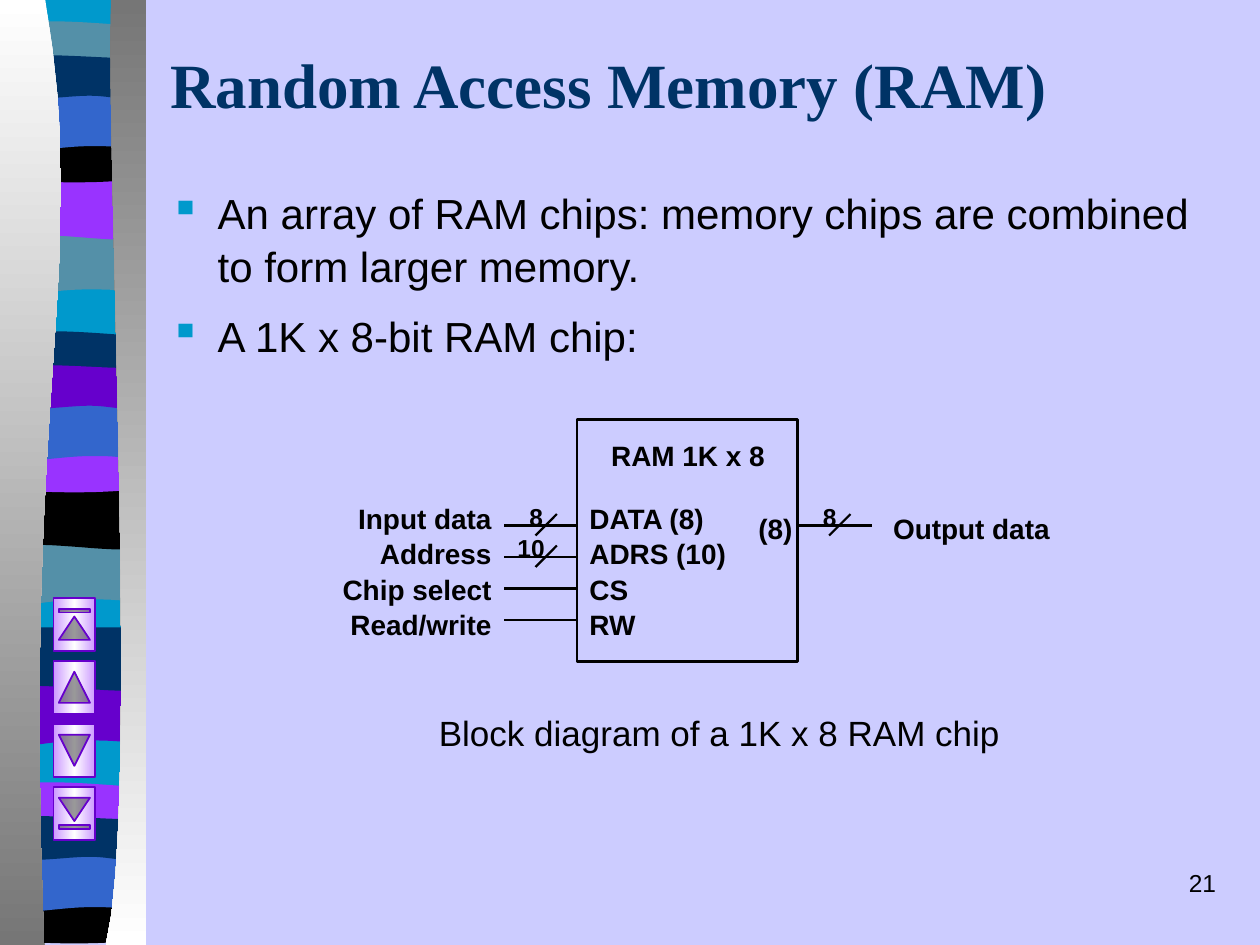
from dataclasses import dataclass

from lxml import etree
from pptx import Presentation
from pptx import util as u
from pptx.dml.color import RGBColor
from pptx.enum import shapes, text
from pptx.oxml import ns


@dataclass(frozen=True)
class Theme:
    back: str = "CCCCFF"
    ink: str = "000000"
    navy: str = "003366"
    cyan: str = "0099CC"
    teal: str = "5490A8"
    blue: str = "3366CC"
    violet: str = "9933FF"
    purple: str = "6600CC"
    lilac: str = "CC99FF"
    white: str = "FFFFFF"
    gray: str = "767676"
    serif: str = "Times New Roman"
    sans: str = "Arial"
    title: int = 36
    body: int = 24
    note: int = 20
    label: int = 16
    small: int = 14


T = Theme()
A = text.PP_ALIGN
S = shapes.MSO_SHAPE

WAVES = [
    [(1.13, 0), (1.13, .47), (.38, .39, .22, .55, .05, .47), (.05, 0)],
    [(1.13, 0), (1.13, .48), (.96, .55, .38, .42, .05, .48), (.05, 0)],
    [(1.13, 0), (1.13, .24), (.95, .28, .23, .28, .05, .24), (.05, 0),
     (.12, -.05, .28, -.04, .46, -.04), (.64, -.04, .99, -.01, 1.13, 0)],
    [(1.13, 0), (1.13, .33), (.95, .38, .23, .38, .05, .33), (.05, 0),
     (.71, .05, .9, 0, 1.13, 0)],
    [(1.13, 0), (1.13, .47), (.96, .42, .89, .42, .71, .42),
     (.53, .42, .21, .47, .05, .47), (.05, 0)],
    [(1.13, 0), (1.13, .3), (1.06, .36, .89, .3, .71, .3),
     (.53, .3, .16, .36, .05, .3), (.05, 0), (.2, -.05, .78, 0, .96, 0)],
]
TOPS = [1.85, 1.4, .21, 1.08, .74, .46]
BANDS = [
    ([0] * 6, [T.teal, T.violet, T.teal, T.ink, T.blue, T.navy]),
    ([2.46] * 6, [T.teal, T.ink, T.navy, T.violet, T.blue, T.purple]),
    ([3.58] * 2 + [6.04] * 4,
     [T.purple, T.navy, T.violet, T.ink, T.blue, T.navy]),
]


def rgb(code):
    return RGBColor.from_string(code)


def trace(steps, n=16):
    pts = [steps[0]]
    for step in steps[1:]:
        if len(step) == 2:
            pts.append(step)
            continue
        ctrl = [pts[-1], step[:2], step[2:4], step[4:]]
        for i in range(1, n + 1):
            t = i / n
            w = [(1 - t) ** 3, 3 * t * (1 - t) ** 2, 3 * t * t * (1 - t), t ** 3]
            pts.append(tuple(sum(k * c[a] for k, c in zip(w, ctrl)) for a in (0, 1)))
    return pts


def outline(parts, steps, top=0):
    pts = [(u.Inches(x), u.Inches(top + y)) for x, y in trace(steps)]
    pen = parts.build_freeform(*pts[0])
    pen.add_line_segments(pts[1:], close=True)
    shape = pen.convert_to_shape()
    shape.shadow.inherit = False
    shape.line.fill.background()
    return shape


def solid(shape, color):
    shape.fill.solid()
    shape.fill.fore_color.rgb = rgb(color)


def blend(shape, colors):
    shape.fill.gradient()
    shape.fill.gradient_angle = 270
    stops = shape.fill._fill._gradFill.find(ns.qn("a:gsLst"))
    for stop in list(stops):
        stops.remove(stop)
    for i, color in enumerate(colors):
        stop = etree.SubElement(stops, ns.qn("a:gs"),
                                pos=str(100000 * i // (len(colors) - 1)))
        etree.SubElement(stop, ns.qn("a:srgbClr"), val=color)


def bullet(para):
    props = para._p.get_or_add_pPr()
    props.set("marL", str(u.Inches(.38)))
    props.set("indent", str(-u.Inches(.38)))
    color = etree.SubElement(props, ns.qn("a:buClr"))
    etree.SubElement(color, ns.qn("a:srgbClr"), val=T.cyan)
    etree.SubElement(props, ns.qn("a:buChar"), char="▪")


def style(para, size, bold=False, color=T.ink, face=T.sans):
    font = para.font
    font.name, font.size, font.bold = face, u.Pt(size), bold
    font.color.rgb = rgb(color)


def write(parts, box, lines, size, align=A.LEFT, bold=False, dots=False):
    frame = parts.add_textbox(*map(u.Inches, box)).text_frame
    frame.word_wrap = True
    frame.text = "\n".join(lines)
    for i, para in enumerate(frame.paragraphs):
        para.alignment = align
        para.line_spacing = 1.05
        if dots:
            para.space_before = u.Pt(9.6 if i else 0)
            bullet(para)
        style(para, size, bold)


def wire(parts, start, end, width=1.5):
    line = parts.add_connector(shapes.MSO_CONNECTOR.STRAIGHT,
                               *map(u.Inches, start + end))
    line.line.color.rgb = rgb(T.ink)
    line.line.width = u.Pt(width)
    etree.SubElement(line._element.spPr, ns.qn("a:effectLst"))


def border(parts):
    base = outline(parts, [(.06, 0), (1.14, 0), (1.14, 7.47), (.06, 7.47)])
    solid(base, T.cyan)
    for shifts, colors in BANDS:
        for wave, top, shift, color in zip(WAVES, TOPS, shifts, colors):
            solid(outline(parts, wave, top + shift), color)
    left = [(.36, 0), (.72, 2.16, .17, 2.96, .35, 7.5), (0, 7.5), (0, 0)]
    right = [(.88, 0), (.84, 1.25, 1.11, 6.46, .84, 7.5), (1.16, 7.5), (1.16, 0)]
    blend(outline(parts, left), [T.white, T.gray])
    blend(outline(parts, right), [T.gray, T.white])


def heading(slide):
    title = slide.shapes.title
    title.left, title.top, title.width, title.height = map(
        u.Inches, (1.25, .25, 8.5, .83))
    frame = title.text_frame
    frame.text = "Random Access Memory (RAM)"
    frame.vertical_anchor = text.MSO_ANCHOR.MIDDLE
    para = frame.paragraphs[0]
    para.alignment = A.LEFT
    style(para, T.title, True, T.navy, T.serif)


def chip(parts):
    case = parts.add_shape(S.RECTANGLE, *map(u.Inches, (4.58, 3.33, 1.75, 1.92)))
    case.shadow.inherit = False
    case.fill.background()
    case.line.color.rgb = rgb(T.ink)
    case.line.width = u.Pt(1.5)
    for box, lines, align in [
        ((4.67, 3.42, 1.58, .37), ["RAM 1K x 8"], A.CENTER),
        ((4.58, 3.92, 1.33, 1.17), ["DATA (8)", "ADRS (10)", "CS", "RW"], A.LEFT),
        ((2.58, 3.92, 1.42, 1.17),
         ["Input data", "Address", "Chip select", "Read/write"], A.RIGHT),
        ((5.92, 4, .5, .37), ["(8)"], A.LEFT),
        ((6.92, 4, 1.58, .37), ["Output data"], A.CENTER),
    ]:
        write(parts, box, lines, T.label, align, True)
    for i in range(4):
        y = 4.17 + .25 * i
        wire(parts, (4, y), (4.58, y))
    wire(parts, (6.33, 4.17), (6.92, 4.17))
    for x, y, left, wide, bits in [(4.25, 4.08, 4.08, .35, "8"),
                                   (4.25, 4.33, 4, .43, "10"),
                                   (6.58, 4.08, 6.42, .33, "8")]:
        wire(parts, (x + .17, y), (x, y + .17), 1.25)
        write(parts, (left, y - .16, wide, .33), [bits], T.small, A.CENTER, True)


def buttons(parts):
    kinds = [S.ACTION_BUTTON_BEGINNING, S.ACTION_BUTTON_BACK_OR_PREVIOUS,
             S.ACTION_BUTTON_FORWARD_OR_NEXT, S.ACTION_BUTTON_END]
    for i, kind in enumerate(kinds):
        key = parts.add_shape(kind, *map(u.Inches, (.38, 4.79 + .5 * i, .42, .33)))
        key.rotation = 90
        key.shadow.inherit = False
        blend(key, [T.lilac, T.white, T.lilac])
        key.line.color.rgb = rgb(T.purple)
        key.line.width = u.Pt(1)


def main():
    deck = Presentation()
    deck.slide_width, deck.slide_height = u.Inches(10), u.Inches(7.5)
    slide = deck.slides.add_slide(deck.slide_layouts[5])
    solid(slide.background, T.back)
    parts = slide.shapes
    border(parts.add_group_shape().shapes)
    heading(slide)
    write(parts, (1.25, 1.42, 8.5, 1.5),
          ["An array of RAM chips: memory chips are combined to form larger memory.",
           "A 1K x 8-bit RAM chip:"], T.body, dots=True)
    write(parts, (3.17, 5.58, 5.08, .43),
          ["Block diagram of a 1K x 8 RAM chip"], T.note, A.CENTER)
    chip(parts.add_group_shape().shapes)
    buttons(parts)
    write(parts, (7.67, 6.83, 2.08, .5), ["21"], T.small, A.RIGHT)
    deck.save("out.pptx")


if __name__ == "__main__":
    main()
